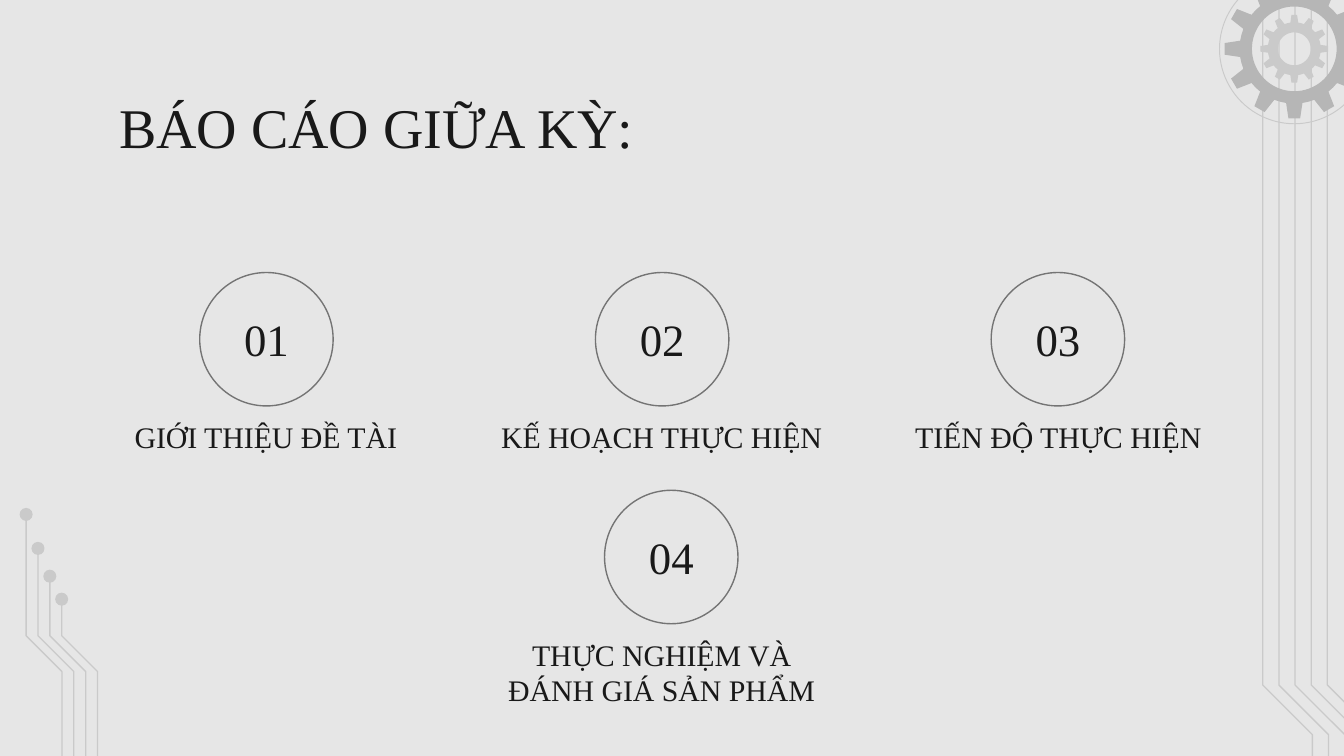
from math import cos, radians, sin

from pptx import Presentation
from pptx.dml.color import RGBColor
from pptx.enum.shapes import MSO_SHAPE
from pptx.enum.text import MSO_ANCHOR, PP_ALIGN
from pptx.util import Pt

BACKGROUND = RGBColor(0xE6, 0xE6, 0xE6)
PALE_GRAY = RGBColor(0xCA, 0xCA, 0xCA)
GEAR_GRAY = RGBColor(0xB6, 0xB6, 0xB6)
CIRCLE_GRAY = RGBColor(0x74, 0x74, 0x74)
INK = RGBColor(0x19, 0x19, 0x19)
FONT = "Times New Roman"

SLIDE_WIDTH, SLIDE_HEIGHT = 720, 405
CIRCLE_SIZE = 71.5
GEAR_X, GEAR_Y = 693.4, 26.2
TEETH = 12

AGENDA = [
    ("01", "GIỚI THIỆU ĐỀ TÀI", 107, 146, 51, 183),
    ("02", "KẾ HOẠCH THỰC HIỆN", 319, 146, 258.5, 192),
    ("03", "TIẾN ĐỘ THỰC HIỆN", 531, 146, 471, 192),
    ("04", "THỰC NGHIỆM VÀ ĐÁNH GIÁ SẢN PHẨM", 323.9, 262.7, 258.5, 192),
]


def to_points(points):
    return [(Pt(x), Pt(y)) for x, y in points]


def style_shape(shape, fill=None, line=None, width=0.75):
    shape.shadow.inherit = False
    if fill is None:
        shape.fill.background()
    else:
        shape.fill.solid()
        shape.fill.fore_color.rgb = fill
    if line is None:
        shape.line.fill.background()
    else:
        shape.line.color.rgb = line
        shape.line.width = Pt(width)


def add_circle(slide, left, top, size, **style):
    shape = slide.shapes.add_shape(
        MSO_SHAPE.OVAL, Pt(left), Pt(top), Pt(size), Pt(size))
    style_shape(shape, **style)


def add_trace(slide, x, top, bend, shift):
    points = to_points([(x, top), (x, bend), (x + shift, bend + shift),
                        (x + shift, SLIDE_HEIGHT)])
    builder = slide.shapes.build_freeform(*points[0])
    builder.add_line_segments(points[1:], close=False)
    style_shape(builder.convert_to_shape(), line=PALE_GRAY, width=0.7)


def gear_point(radius, degrees):
    angle = radians(degrees)
    return GEAR_X + radius * cos(angle), GEAR_Y + radius * sin(angle)


def add_gear(slide, tip, root, hole, color):
    profile = [(root, -8.6), (tip, -4.8), (tip, 4.8), (root, 8.6), (root, 15)]
    pitch = 360 / TEETH
    outline = to_points(gear_point(radius, tooth * pitch + offset)
                        for tooth in range(TEETH) for radius, offset in profile)
    inside = to_points(gear_point(hole, -degrees) for degrees in range(0, 360, 5))
    builder = slide.shapes.build_freeform(*outline[0])
    builder.add_line_segments(outline[1:])
    builder.move_to(*inside[0])
    builder.add_line_segments(inside[1:])
    style_shape(builder.convert_to_shape(), fill=color)


def add_text(slide, text, left, top, width, height, size,
             alignment=PP_ALIGN.CENTER, anchor=MSO_ANCHOR.TOP):
    box = slide.shapes.add_textbox(Pt(left), Pt(top), Pt(width), Pt(height))
    frame = box.text_frame
    frame.word_wrap = True
    frame.vertical_anchor = anchor
    frame.margin_left = frame.margin_right = Pt(7.2)
    frame.margin_top = frame.margin_bottom = Pt(7.2)
    paragraph = frame.paragraphs[0]
    paragraph.text = text
    paragraph.alignment = alignment
    paragraph.font.name = FONT
    paragraph.font.size = Pt(size)
    paragraph.font.color.rgb = INK


def add_decoration(slide):
    for index in range(5):
        add_trace(slide, 676.5 + 8.65 * index, 0, 367, 26.6)
    for index, top in enumerate([275.6, 293.8, 308.7, 321]):
        x = 14 + 6.35 * index
        add_trace(slide, x, top, 340.6, 19.2)
        add_circle(slide, x - 3.5, top - 3.5, 7, fill=PALE_GRAY)
    add_gear(slide, 18.2, 14.2, 8.8, PALE_GRAY)
    add_gear(slide, 37.4, 29.3, 22.7, GEAR_GRAY)
    ring = 40.1
    add_circle(slide, GEAR_X - ring, GEAR_Y - ring, 2 * ring,
               line=PALE_GRAY, width=0.5)


def add_agenda_item(slide, number, caption, left, top, caption_left, caption_width):
    add_circle(slide, left, top, CIRCLE_SIZE, line=CIRCLE_GRAY)
    add_text(slide, number, left, top + 15, CIRCLE_SIZE, 42, 24,
             anchor=MSO_ANCHOR.BOTTOM)
    add_text(slide, caption, caption_left, top + 71, caption_width, 60, 16)


def main():
    presentation = Presentation()
    presentation.slide_width = Pt(SLIDE_WIDTH)
    presentation.slide_height = Pt(SLIDE_HEIGHT)
    slide = presentation.slides.add_slide(presentation.slide_layouts[6])
    slide.background.fill.solid()
    slide.background.fill.fore_color.rgb = BACKGROUND
    add_decoration(slide)
    add_text(slide, "BÁO CÁO GIỮA KỲ:", 56.7, 42.5, 607, 45, 30,
             alignment=PP_ALIGN.LEFT)
    for item in AGENDA:
        add_agenda_item(slide, *item)
    presentation.save("out.pptx")


if __name__ == "__main__":
    main()
